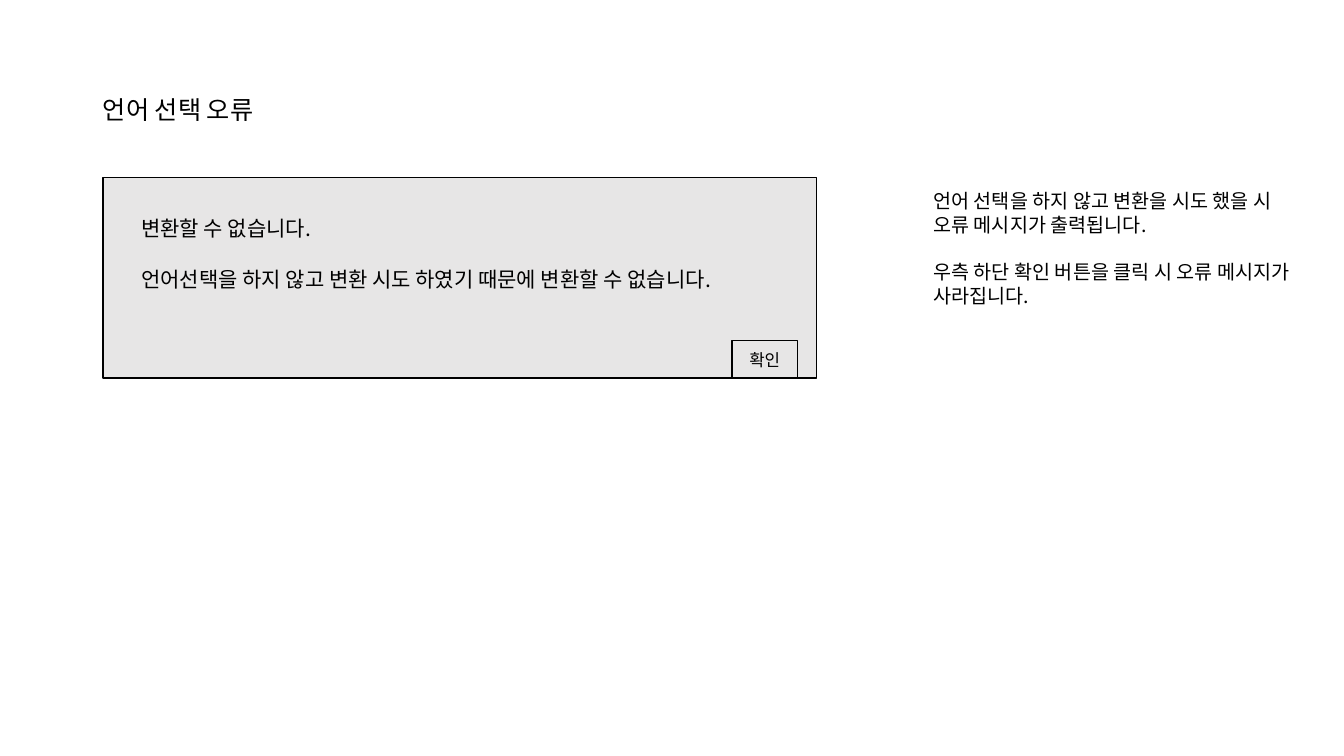
from lxml.etree import SubElement
from pptx import Presentation
from pptx.dml.color import RGBColor
from pptx.enum.shapes import MSO_SHAPE
from pptx.enum.text import MSO_ANCHOR, PP_ALIGN
from pptx.oxml.ns import qn
from pptx.util import Inches, Pt


def color(hex_value):
    return RGBColor.from_string(hex_value)


def write_text(text_frame, lines, font, size, ink, anchor=MSO_ANCHOR.TOP,
               align=PP_ALIGN.LEFT, gaps=None, line_spacing=None):
    """Write one paragraph per line; gaps maps a line index to points before it."""
    text_frame.word_wrap = True
    text_frame.vertical_anchor = anchor
    for index, line in enumerate(lines):
        paragraph = text_frame.paragraphs[0] if index == 0 else text_frame.add_paragraph()
        paragraph.alignment = align
        paragraph.space_before = Pt((gaps or {}).get(index, 0))
        if line_spacing:
            paragraph.line_spacing = line_spacing
        run = paragraph.add_run()
        run.text = line
        run.font.name = font
        run.font.size = Pt(size)
        run.font.color.rgb = color(ink)
        # Hangul uses the East Asian typeface
        SubElement(run.font._element, qn("a:ea"), typeface=font)


class MessageSlide:
    font = "Noto Sans CJK KR"
    ink = "000000"
    panel = "E7E6E6"

    def __init__(self, presentation):
        self.slide = presentation.slides.add_slide(presentation.slide_layouts[5])

    def place(self, shape, left, top, width, height):
        shape.left, shape.top = Inches(left), Inches(top)
        shape.width, shape.height = Inches(width), Inches(height)

    def title(self, text, *box):
        shape = self.slide.shapes.title
        self.place(shape, *box)
        write_text(shape.text_frame, [text], self.font, 18, self.ink,
                   anchor=MSO_ANCHOR.MIDDLE, line_spacing=0.9)

    def rectangle(self, lines, size, *box, inset=None, **text_format):
        shape = self.slide.shapes.add_shape(
            MSO_SHAPE.RECTANGLE, *(Inches(length) for length in box))
        shape.shadow.inherit = False
        shape.fill.solid()
        shape.fill.fore_color.rgb = color(self.panel)
        shape.line.color.rgb = color(self.ink)
        shape.line.width = Pt(1)
        if inset:
            shape.text_frame.margin_left = shape.text_frame.margin_top = Inches(inset)
        write_text(shape.text_frame, lines, self.font, size, self.ink, **text_format)

    def note(self, lines, size, *box, **text_format):
        shape = self.slide.shapes.add_textbox(*(Inches(length) for length in box))
        write_text(shape.text_frame, lines, self.font, size, self.ink, **text_format)


def main():
    presentation = Presentation()
    presentation.slide_width = Inches(13.33)
    presentation.slide_height = Inches(7.5)
    page = MessageSlide(presentation)

    # Title
    page.title("언어 선택 오류", 0.92, 0.38, 11.5, 1.45)

    # Error dialog
    page.rectangle(
        ["변환할 수 없습니다.",
         "언어선택을 하지 않고 변환 시도 하였기 때문에 변환할 수 없습니다."],
        15, 1.02, 1.76, 7.08, 1.99, inset=0.38, gaps={1: 18})

    # Explanation beside the dialog
    page.note(
        ["언어 선택을 하지 않고 변환을 시도 했을 시",
         "오류 메시지가 출력됩니다.",
         "우측 하단 확인 버튼을 클릭 시 오류 메시지가",
         "사라집니다."],
        14, 9.16, 1.83, 4.17, 1.27, gaps={2: 16.8})

    # Confirm button
    page.rectangle(["확인"], 12, 7.26, 3.38, 0.65, 0.37,
                   anchor=MSO_ANCHOR.MIDDLE, align=PP_ALIGN.CENTER)

    presentation.save("out.pptx")


if __name__ == "__main__":
    main()
